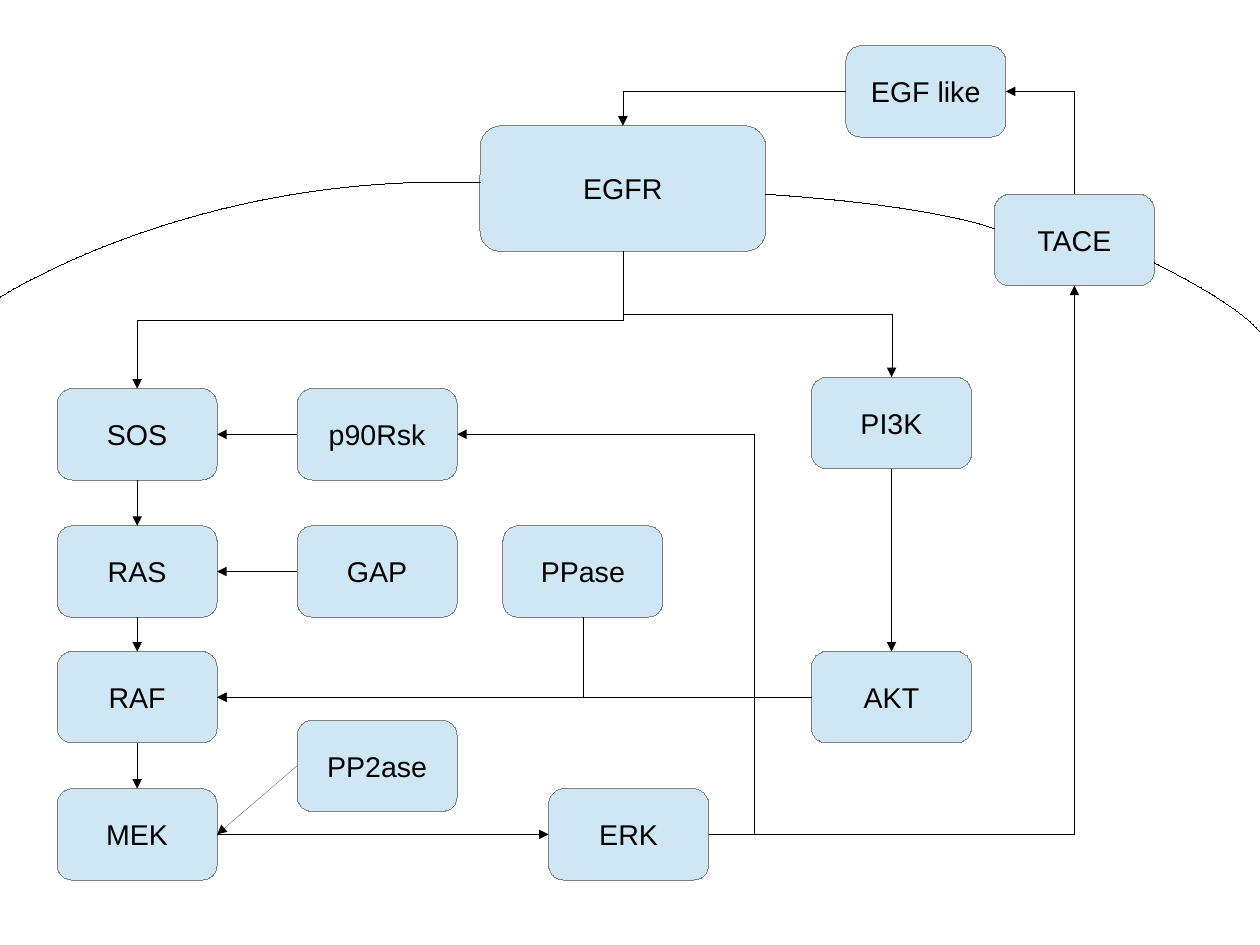
from dataclasses import dataclass
from math import cos, radians, sin

from lxml.etree import SubElement
from pptx import Presentation
from pptx.dml.color import RGBColor
from pptx.enum.shapes import MSO_CONNECTOR as Connector, MSO_SHAPE as Shape
from pptx.enum.text import MSO_ANCHOR as Anchor, PP_ALIGN as Align
from pptx.oxml.ns import qn
from pptx.util import Cm, Emu, Pt

PX = 9144
BLACK, GRAY, PALE_BLUE = "000000", "808080", "CFE7F5"


@dataclass
class Box:
    left: int
    top: int
    width: int = 140
    height: int = 80

    def at(self, side):
        x, y = {"left": (0, 0.5), "right": (1, 0.5),
                "top": (0.5, 0), "bottom": (0.5, 1)}[side]
        return round(self.left + x * self.width), round(self.top + y * self.height)


PROTEINS = {
    "EGFR": Box(420, 110, 250, 110),
    "EGF like": Box(740, 40),
    "TACE": Box(870, 170),
    "SOS": Box(50, 340),
    "RAS": Box(50, 460),
    "RAF": Box(50, 570),
    "MEK": Box(50, 690),
    "ERK": Box(480, 690),
    "PI3K": Box(710, 330),
    "AKT": Box(710, 570),
    "p90Rsk": Box(260, 340),
    "GAP": Box(260, 460),
    "PPase": Box(440, 460),
    "PP2ase": Box(260, 630),
}

STRAIGHT_ARROWS = [
    ("SOS", "bottom", "RAS", "top"),
    ("RAS", "bottom", "RAF", "top"),
    ("RAF", "bottom", "MEK", "top"),
    ("MEK", "right", "ERK", "left"),
    ("PI3K", "bottom", "AKT", "top"),
    ("AKT", "left", "RAF", "right"),
    ("GAP", "left", "RAS", "right"),
    ("PP2ase", "left", "MEK", "right"),
    ("p90Rsk", "left", "SOS", "right"),
]

BENT_ARROWS = [
    ("EGFR", "bottom", "SOS", "top", 90, 0.5),
    ("EGFR", "bottom", "PI3K", "top", 270, 0.5),
    ("PPase", "bottom", "RAF", "right", 90, None),
    ("ERK", "right", "p90Rsk", "right", 0, -0.18),
    ("EGF like", "left", "EGFR", "top", 180, None),
    ("TACE", "top", "EGF like", "right", 270, None),
    ("ERK", "right", "TACE", "bottom", 0, None),
]

MEMBRANE = [
    [(420, 160), (170, 150), (0, 260), (0, 260)],
    [(670, 170), (820, 180), (870, 200), (870, 200)],
    [(1010, 230), (1090, 270), (1102, 290), (1102, 290)],
]


def px(length):
    return Emu(round(length * PX))


def color(value):
    return RGBColor.from_string(value)


def style_hairline(shape, value):
    shape.line.color.rgb = color(value)
    line = shape._element.spPr.find(qn("a:ln"))
    line.set("w", "0")
    return line


def add_protein(slide, name, box):
    shape = slide.shapes.add_shape(
        Shape.ROUNDED_RECTANGLE, px(box.left), px(box.top), px(box.width), px(box.height))
    shape.shadow.inherit = False
    shape.fill.solid()
    shape.fill.fore_color.rgb = color(PALE_BLUE)
    style_hairline(shape, GRAY)
    frame = shape.text_frame
    frame.word_wrap = False
    frame.vertical_anchor = Anchor.MIDDLE
    paragraph = frame.paragraphs[0]
    paragraph.text = name
    paragraph.alignment = Align.CENTER
    paragraph.font.name = "Arial"
    paragraph.font.size = Pt(18)
    paragraph.font.color.rgb = color(BLACK)


def add_arrow(slide, kind, start, end):
    connector = slide.shapes.add_connector(kind, *map(px, start + end))
    line = style_hairline(connector, BLACK)
    SubElement(line, qn("a:tailEnd"), type="triangle")
    SubElement(connector._element.spPr, qn("a:effectLst"))
    return connector


def add_bent_arrow(slide, start, end, angle, bend):
    dx, dy = end[0] - start[0], end[1] - start[1]
    turn = radians(angle)
    along = round(dx * cos(turn) + dy * sin(turn))
    across = round(dy * cos(turn) - dx * sin(turn))
    width, height = abs(along), abs(across)
    left = (start[0] + end[0] - width) / 2
    top = (start[1] + end[1] - height) / 2
    connector = add_arrow(
        slide, Connector.ELBOW, (left, top), (left + width, top + height))
    properties = connector._element.spPr
    frame = properties.find(qn("a:xfrm"))
    frame.set("rot", str(angle * 60000))
    frame.set("flipH", str(int(along < 0)))
    frame.set("flipV", str(int(across < 0)))
    geometry = properties.find(qn("a:prstGeom"))
    if bend is None:
        geometry.set("prst", "bentConnector2")
    else:
        SubElement(geometry.find(qn("a:avLst")), qn("a:gd"),
                   name="adj1", fmla=f"val {round(bend * 100000)}")


def add_curve(slide, points):
    builder = slide.shapes.build_freeform(*points[0], scale=PX)
    builder.add_line_segments(points[1:], close=False)
    shape = builder.convert_to_shape()
    shape.shadow.inherit = False
    shape.fill.background()
    style_hairline(shape, BLACK)
    outline = next(shape._element.iter(qn("a:path")))
    segments = outline.findall(qn("a:lnTo"))
    curve = SubElement(outline, qn("a:cubicBezTo"))
    for segment in segments:
        curve.append(segment[0])
        outline.remove(segment)


def add_pathway(slide):
    for name, box in PROTEINS.items():
        add_protein(slide, name, box)
    for source, exit_side, target, entry_side in STRAIGHT_ARROWS:
        add_arrow(slide, Connector.STRAIGHT,
                  PROTEINS[source].at(exit_side), PROTEINS[target].at(entry_side))
    for source, exit_side, target, entry_side, angle, bend in BENT_ARROWS:
        add_bent_arrow(slide, PROTEINS[source].at(exit_side),
                       PROTEINS[target].at(entry_side), angle, bend)


def add_membrane(slide):
    for points in MEMBRANE:
        add_curve(slide, points)


def main():
    presentation = Presentation()
    presentation.slide_width, presentation.slide_height = Cm(28), Cm(21)
    slide = presentation.slides.add_slide(presentation.slide_layouts[6])
    add_pathway(slide)
    add_membrane(slide)
    presentation.save("out.pptx")


if __name__ == "__main__":
    main()
